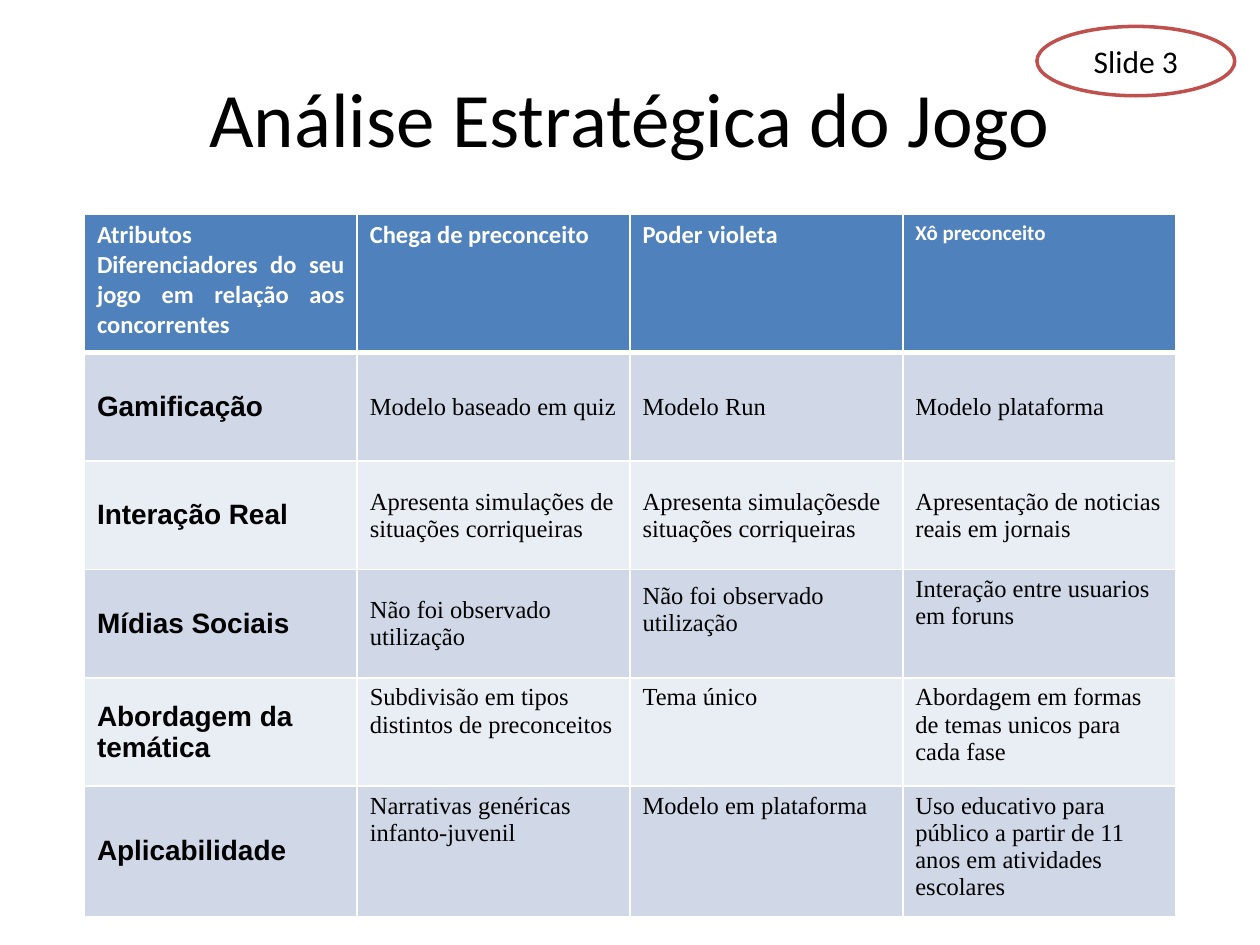
from dataclasses import dataclass

from lxml import etree
from pptx import Presentation
from pptx import util as u
from pptx.dml.color import RGBColor
from pptx.enum import shapes, text
from pptx.oxml import ns


@dataclass(frozen=True)
class Theme:
    black: str = "000000"
    white: str = "FFFFFF"
    header: str = "4F81BD"
    bands: tuple = ("D0D8E8", "E9EDF4")
    badge_line: str = "C0504D"
    main_font: str = "Calibri"
    label_font: str = "Arial"
    body_font: str = "Times New Roman"
    title_size: int = 44
    badge_size: int = 18
    label_size: int = 16
    body_size: int = 14
    small_size: int = 12


THEME = Theme()
TOP, MIDDLE = text.MSO_ANCHOR.TOP, text.MSO_ANCHOR.MIDDLE
LEFT, CENTER, JUSTIFY = (text.PP_ALIGN.LEFT, text.PP_ALIGN.CENTER,
                         text.PP_ALIGN.JUSTIFY)

HEADERS = [
    "Atributos\nDiferenciadores do seu jogo em relação aos concorrentes",
    "Chega de preconceito", "Poder violeta", "Xô preconceito",
]
# Row label, descriptions, and how many descriptions are centred vertically
ROWS = [
    ("Gamificação",
     ["Modelo baseado em quiz", "Modelo Run", "Modelo plataforma"], 3),
    ("Interação Real",
     ["Apresenta simulações de situações corriqueiras",
      "Apresenta simulaçõesde situações corriqueiras",
      "Apresentação de noticias reais em jornais"], 3),
    ("Mídias Sociais",
     ["Não foi observado utilização", "Não foi observado utilização",
      "Interação entre usuarios em foruns"], 2),
    ("Abordagem da temática",
     ["Subdivisão em tipos distintos de preconceitos", "Tema único",
      "Abordagem em formas de temas unicos para cada fase"], 0),
    ("Aplicabilidade",
     ["Narrativas genéricas infanto-juvenil", "Modelo em plataforma",
      "Uso educativo para público a partir de 11 anos em atividades escolares"],
     0),
]


def color(value):
    return RGBColor.from_string(value)


def write(frame, words, font, size, ink=THEME.black, bold=False, align=LEFT):
    frame.text = words
    frame.word_wrap = True
    for para in frame.paragraphs:
        para.alignment = align
        para.font.name = font
        para.font.size = u.Pt(size)
        para.font.bold = bold
        para.font.color.rgb = color(ink)


def add_title(page, words):
    box = page.shapes.add_textbox(u.Inches(0.5), u.Inches(0.3),
                                  u.Inches(9), u.Inches(1.25))
    box.text_frame.vertical_anchor = MIDDLE
    write(box.text_frame, words, THEME.main_font, THEME.title_size, align=CENTER)


def add_badge(page, words):
    badge = page.shapes.add_shape(shapes.MSO_SHAPE.OVAL, u.Inches(8.23),
                                  u.Inches(0.21), u.Inches(1.57), u.Inches(0.55))
    badge.shadow.inherit = False
    badge.fill.solid()
    badge.fill.fore_color.rgb = color(THEME.white)
    badge.line.color.rgb = color(THEME.badge_line)
    badge.line.width = u.Pt(2)
    badge.text_frame.vertical_anchor = MIDDLE
    write(badge.text_frame, words, THEME.main_font, THEME.badge_size, align=CENTER)


def style_cell(cell, fill, anchor, top=1, bottom=1):
    cell.fill.solid()
    cell.fill.fore_color.rgb = color(fill)
    cell.vertical_anchor = anchor
    # Borders come before the fill in the cell properties
    properties = cell._tc.get_or_add_tcPr()
    widths = {"a:lnL": 1, "a:lnR": 1, "a:lnT": top, "a:lnB": bottom}
    for index, (tag, width) in enumerate(widths.items()):
        line = etree.Element(ns.qn(tag), w=str(u.Pt(width)))
        solid = etree.SubElement(line, ns.qn("a:solidFill"))
        etree.SubElement(solid, ns.qn("a:srgbClr"), val=THEME.white)
        properties.insert(index, line)


def add_comparison(page):
    frame = page.shapes.add_table(len(ROWS) + 1, len(HEADERS), u.Inches(0.67),
                                  u.Inches(1.7), u.Inches(8.66), u.Inches(5.4))
    table = frame.table
    for column in table.columns:
        column.width = u.Inches(8.66 / len(HEADERS))
    for index, row in enumerate(table.rows):
        row.height = u.Inches(0.86 if index else 1.1)

    # Header row, with a smaller last heading
    for column, words in enumerate(HEADERS):
        cell = table.cell(0, column)
        last = column == len(HEADERS) - 1
        size = THEME.small_size if last else THEME.body_size
        style_cell(cell, THEME.header, TOP, bottom=3)
        write(cell.text_frame, words, THEME.main_font, size, THEME.white,
              bold=True, align=JUSTIFY)

    # Banded body rows
    for index, (label, descriptions, centred) in enumerate(ROWS):
        fill = THEME.bands[index % 2]
        top = 1 if index else 3
        for column, words in enumerate([label] + descriptions):
            cell = table.cell(index + 1, column)
            style_cell(cell, fill, MIDDLE if column <= centred else TOP, top)
            if column == 0:
                write(cell.text_frame, words, THEME.label_font,
                      THEME.label_size, bold=True)
            else:
                write(cell.text_frame, words, THEME.body_font, THEME.body_size)

    # This description sits one half line above the middle
    table.cell(3, 2).margin_bottom = u.Inches(0.27)


def main():
    deck = Presentation()
    deck.slide_width, deck.slide_height = u.Inches(10), u.Inches(7.5)
    page = deck.slides.add_slide(deck.slide_layouts[6])
    add_title(page, "Análise Estratégica do Jogo")
    add_comparison(page)
    add_badge(page, "Slide 3")
    deck.save("out.pptx")


if __name__ == "__main__":
    main()
